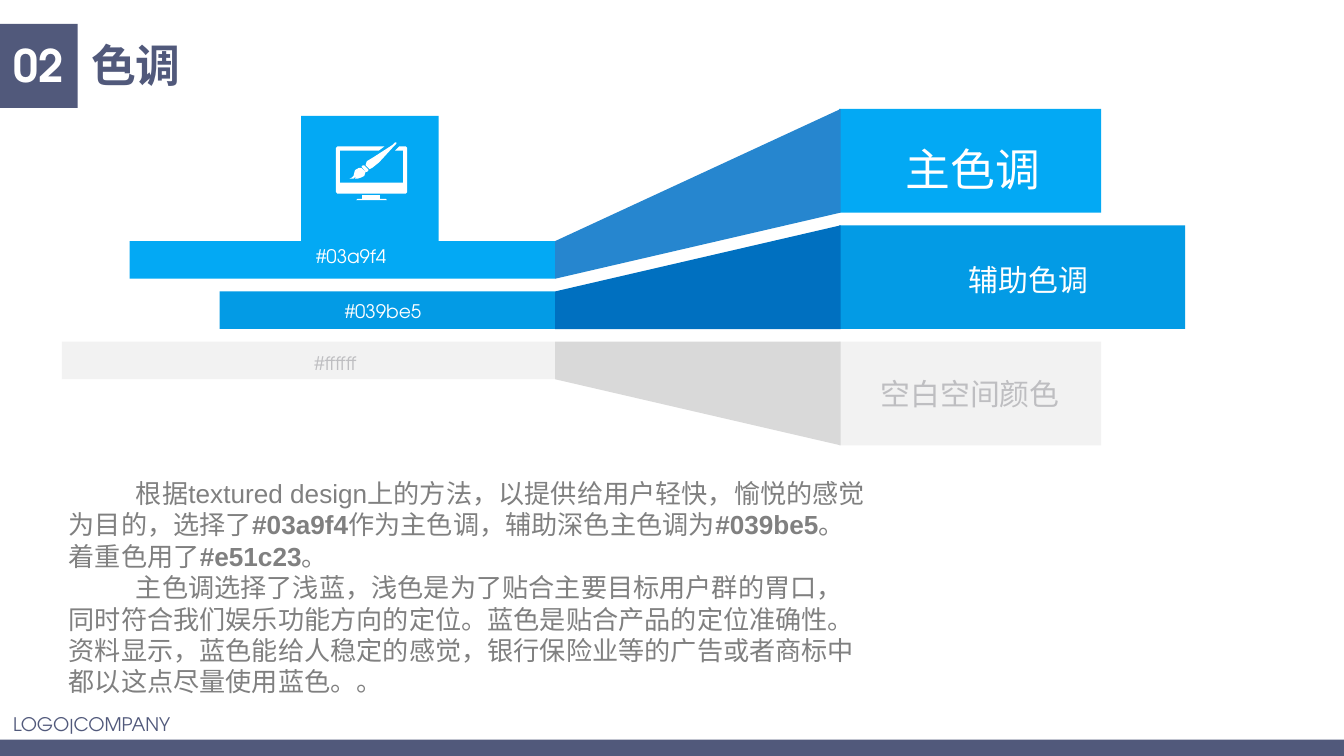
from pptx import Presentation
from pptx.dml.color import RGBColor
from pptx.enum.shapes import MSO_SHAPE as SHAPE
from pptx.enum.text import MSO_ANCHOR as ANCHOR, PP_ALIGN as ALIGN
from pptx.util import Cm, Pt

COLORS = {
    "navy": "51597B", "white": "FFFFFF", "primary": "03A9F4", "secondary": "039BE5",
    "blank": "F2F2F2", "primary_wedge": "2686CF", "secondary_wedge": "0070C0",
    "blank_wedge": "D9D9D9", "pale_text": "BEBEC1", "body_text": "808080",
}
ADVENTOR = "TeX Gyre Adventor"

prs = Presentation()
prs.slide_width, prs.slide_height = Cm(25.4), Cm(14.29)
s = prs.slides.add_slide(prs.slide_layouts[5])


def paint(sp, color):
    """Give a shape a plain fill with no line or shadow."""
    sp.fill.solid()
    sp.fill.fore_color.rgb = RGBColor.from_string(COLORS[color])
    sp.line.fill.background()
    sp.shadow.inherit = False
    return sp


def write(sp, paragraphs, size, color, font=ADVENTOR, wrap=False, anchor=ANCHOR.TOP, **formats):
    """Fill a shape with paragraphs, each a list of (text, bold) runs."""
    tf = sp.text_frame
    tf.word_wrap, tf.vertical_anchor = wrap, anchor
    for i, runs in enumerate(paragraphs):
        p = tf.add_paragraph() if i else tf.paragraphs[0]
        for name, value in {"alignment": ALIGN.LEFT, **formats}.items():
            setattr(p, name, value)
        for text, bold in runs:
            r = p.add_run()
            r.text = text
            for name, value in {"name": font, "size": Pt(size), "bold": bold}.items():
                setattr(r.font, name, value)
            r.font.color.rgb = RGBColor.from_string(COLORS[color])


# Footer
paint(s.shapes.add_shape(SHAPE.RECTANGLE, 0, Cm(13.98), Cm(25.4), Cm(0.31)), "navy")
footer = s.shapes.add_textbox(0, Cm(13.35), Cm(3.68), Cm(0.69))
write(footer, [[("LOGO|COMPANY", False)]], 10, "navy")

# Section number and title
paint(s.shapes.add_shape(SHAPE.RECTANGLE, 0, Cm(0.45), Cm(1.47), Cm(1.59)), "navy")
number = s.shapes.add_textbox(0, Cm(0.71), Cm(1.47), Cm(1.17))
write(number, [[("02", True)]], 24, "white", line_spacing=0.9)
title = s.shapes.title
title.left, title.top, title.width, title.height = Cm(1.47), Cm(0.7), Cm(2.24), Cm(1.17)
write(title, [[("色调", True)]], 24, "navy", line_spacing=0.9)

# Each colour: a code bar on the left widens through a wedge to a panel on the right
BAR_RIGHT, BAR_TOP, BAR_HEIGHT, BAR_PITCH = 10.49, 4.56, 0.71, 0.95
PANEL_LEFT, PANEL_TOP, PANEL_HEIGHT, PANEL_PITCH = 15.86, 2.06, 1.96, 2.2
bands = [  # colour, bar left, panel width
    ("primary", 2.45, 4.95),
    ("secondary", 4.15, 6.54),
    ("blank", 1.17, 4.95),
]
panels = {}
for i, (color, bar_left, panel_width) in enumerate(bands):
    bar_top = BAR_TOP + i * BAR_PITCH
    panel_top = PANEL_TOP + i * PANEL_PITCH
    panels[color] = paint(s.shapes.add_shape(
        SHAPE.RECTANGLE, Cm(PANEL_LEFT), Cm(panel_top), Cm(panel_width), Cm(PANEL_HEIGHT)), color)
    paint(s.shapes.add_shape(
        SHAPE.RECTANGLE, Cm(bar_left), Cm(bar_top),
        Cm(BAR_RIGHT - bar_left), Cm(BAR_HEIGHT)), color)
    wedge = s.shapes.build_freeform(Cm(BAR_RIGHT), Cm(bar_top))
    wedge.add_line_segments([
        (Cm(PANEL_LEFT + 0.03), Cm(panel_top)),
        (Cm(PANEL_LEFT + 0.03), Cm(panel_top + PANEL_HEIGHT)),
        (Cm(BAR_RIGHT), Cm(bar_top + BAR_HEIGHT)),
    ])
    paint(wedge.convert_to_shape(), color + "_wedge")

# Tile with a screen and paintbrush, drawn on a grid of 0.0254 cm
paint(s.shapes.add_shape(SHAPE.RECTANGLE, Cm(5.69), Cm(2.19), Cm(2.6), Cm(2.43)), "primary")
icon_outlines = [
    # stand and foot
    [(269, 145), (283, 145), (283, 148), (269, 148)],
    [(266, 148), (287, 148), (288, 149), (265, 149)],
    # screen
    [(302, 109), (297, 109), (294, 112), (300, 112), (300, 136), (253, 136),
     (253, 112), (282, 112), (286, 109), (251, 109), (250, 110), (250, 143),
     (251, 144), (302, 144), (303, 143), (303, 110)],
    # bristles, handle and ferrule
    [(264, 127), (263, 131), (262, 132), (260, 133), (263, 133), (265, 131),
     (264, 133), (266, 133), (269, 132), (271, 131), (272, 128), (269, 125),
     (267, 125), (265, 126)],
    [(292, 108), (278, 117), (273, 120), (272, 123), (275, 126), (277, 125),
     (282, 121), (293, 109), (295, 107), (295, 106), (294, 106)],
    [(271, 123), (270, 123), (269, 124), (272, 128), (273, 128), (274, 127), (274, 126)],
]
icon_parts = []
for points in icon_outlines:
    outline = s.shapes.build_freeform(*points[0], scale=Cm(0.0254))
    outline.add_line_segments(points[1:])
    icon_parts.append(paint(outline.convert_to_shape(), "white"))
s.shapes.add_group_shape(icon_parts)

# Panel names
write(panels["blank"], [[("空白空间颜色", False)]], 16, "pale_text", font="Arial",
      wrap=True, anchor=ANCHOR.MIDDLE, alignment=ALIGN.CENTER)
for text, size, left, top, height in [
    ("主色调", 24, 16.87, 2.25, 1.6),
    ("辅助色调", 16, 18.06, 4.62, 1.14),
]:
    label = s.shapes.add_textbox(Cm(left), Cm(top), Cm(3.96), Cm(height))
    write(label, [[(text, False)]], size, "white", wrap=True, line_spacing=1.3)

# Colour codes
for text, color, left, top, width in [
    ("#03a9f4", "white", 5.65, 4.51, 1.9),
    ("#039be5", "white", 6.18, 5.54, 2.03),
    ("#ffffff", "pale_text", 5.54, 6.53, 1.45),
]:
    code = s.shapes.add_textbox(Cm(left), Cm(top), Cm(width), Cm(0.69))
    write(code, [[(text, False)]], 10, color, alignment=ALIGN.RIGHT)

# Explanation
body = s.shapes.add_textbox(Cm(1.05), Cm(8.9), Cm(15.57), Cm(4.45))
write(body, [
    [("根据textured design上的方法，以提供给用户轻快，愉悦的感觉为目的，选择了", False),
     ("#03a9f4", True), ("作为主色调，辅助深色主色调为", False),
     ("#039be5", True), ("。着重色用了", False), ("#e51c23", True), ("。", False)],
    [("主色调选择了浅蓝，浅色是为了贴合主要目标用户群的胃口，同时符合我们娱乐功能方向的定位。"
      "蓝色是贴合产品的定位准确性。资料显示，蓝色能给人稳定的感觉，"
      "银行保险业等的广告或者商标中都以这点尽量使用蓝色。。", False)],
], 14, "body_text", font="Arial", wrap=True)
for p in body.text_frame.paragraphs:
    p._p.get_or_add_pPr().set("indent", str(Cm(1.27)))

prs.save("out.pptx")
